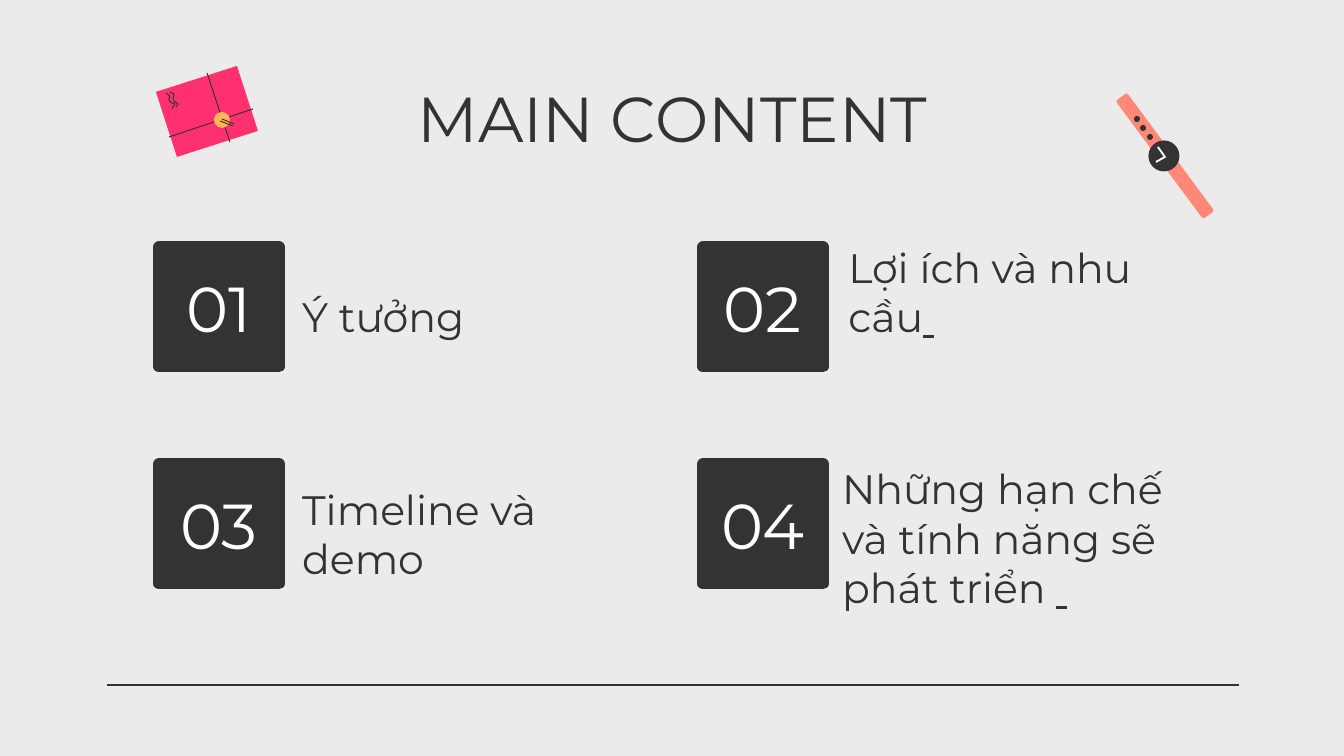
import pptx
import pptx.dml.color
import pptx.enum.shapes
import pptx.enum.text
import pptx.oxml
import pptx.oxml.ns
import pptx.util

PX = 914400 / 134.4
FONT = "Montserrat"
SHAPE = pptx.enum.shapes.MSO_SHAPE
ANCHOR = pptx.enum.text.MSO_ANCHOR
ALIGN = pptx.enum.text.PP_ALIGN
COLORS = {
    "background": "EBEBEB", "ink": "333333", "white": "FFFFFF",
    "pink": "FF3070", "seal": "FFB554", "strap": "FF8876",
}

# Content: number, topic, underlined ending, topic left and top
TITLE = "MAIN CONTENT"
TOPICS = [
    ("01", "Ý tưởng", "", 289, 300),
    ("02", "Lợi ích và nhu cầu", " ", 835, 300),
    ("03", "Timeline và demo", "", 289, 542),
    ("04", "Những hạn chế và tính năng sẽ phát triển ", " ", 829, 571),
]
TILE_LEFTS, TILE_TOPS, TILE_SIZE = (159, 703), (247, 464), 120
TOPIC_SIZE = (351, 54)

# Gift and watch drawings
PARCEL = [(237, 66), (258, 131), (177, 157), (156, 92)]
STRINGS = [(169, 137, 253, 109), (207, 73, 230, 142),
           (222, 119, 234, 124), (220, 121, 233, 126)]
SQUIGGLES = [
    [(170, 92), (174, 94), (173, 98), (174, 101), (178, 104), (176, 107)],
    [(166, 93), (170, 96), (169, 99), (170, 102), (175, 104), (172, 109)],
]
STRAP_HOLES = [(1137, 119), (1143, 128), (1150, 137)]
WATCH_HANDS = [(1158, 147), (1165, 157), (1156, 162)]


def px(value):
    return pptx.util.Emu(round(value * PX))


def rgb(name):
    return pptx.dml.color.RGBColor.from_string(COLORS[name])


def paint(shape, fill=None, line=None, width=0.75):
    shape.shadow.inherit = False
    if fill:
        shape.fill.solid()
        shape.fill.fore_color.rgb = rgb(fill)
    else:
        shape.fill.background()
    if line:
        shape.line.color.rgb = rgb(line)
        shape.line.width = pptx.util.Pt(width)
    else:
        shape.line.fill.background()


def add_block(shapes, kind, center_x, center_y, width, height, fill):
    shape = shapes.add_shape(kind, px(center_x - width / 2), px(center_y - height / 2),
                             px(width), px(height))
    paint(shape, fill)
    return shape


def add_outline(shapes, points, closed=False, **style):
    builder = shapes.build_freeform(*points[0], scale=PX)
    builder.add_line_segments(points[1:], close=closed)
    paint(builder.convert_to_shape(), **style)


def add_line(shapes, ends, width):
    line = shapes.add_connector(pptx.enum.shapes.MSO_CONNECTOR.STRAIGHT, *map(px, ends))
    line.line.color.rgb = rgb("ink")
    line.line.width = pptx.util.Pt(width)
    properties = line._element.spPr
    properties.append(pptx.oxml.parse_xml(
        "<a:effectLst %s/>" % pptx.oxml.ns.nsdecls("a")))


def set_text(shape, text, size, color, anchor, align):
    frame = shape.text_frame
    frame.word_wrap = True
    frame.auto_size = pptx.enum.text.MSO_AUTO_SIZE.NONE
    frame.vertical_anchor = anchor
    frame.margin_left = frame.margin_right = pptx.util.Inches(0.1)
    frame.margin_top = frame.margin_bottom = pptx.util.Inches(0.1)
    paragraph = frame.paragraphs[0]
    paragraph.text = text
    paragraph.alignment = align
    paragraph.font.size = pptx.util.Pt(size)
    style_runs(paragraph, size, color)
    return paragraph


def style_runs(paragraph, size, color):
    for run in paragraph.runs:
        run.font.name = FONT
        run.font.size = pptx.util.Pt(size)
        run.font.color.rgb = rgb(color)


def add_topics(shapes):
    for index, (number, topic, ending, left, top) in enumerate(TOPICS):
        row, column = divmod(index, 2)
        tile = shapes.add_shape(SHAPE.RECTANGLE, px(TILE_LEFTS[column]), px(TILE_TOPS[row]),
                                px(TILE_SIZE), px(TILE_SIZE))
        paint(tile, "ink", "ink", 6)
        tile.line._get_or_add_ln().append(pptx.oxml.parse_xml(
            "<a:round %s/>" % pptx.oxml.ns.nsdecls("a")))
        set_text(tile, number, 34, "white", ANCHOR.MIDDLE, ALIGN.CENTER)

        box = shapes.add_textbox(px(left), px(top), *map(px, TOPIC_SIZE))
        paragraph = set_text(box, topic, 22, "ink", ANCHOR.BOTTOM, ALIGN.LEFT)
        if ending:
            run = paragraph.add_run()
            run.text = ending
            run.font.underline = True
            style_runs(paragraph, 22, "ink")


def add_gift(shapes):
    add_outline(shapes, PARCEL, closed=True, fill="pink")
    for ends in STRINGS[:2]:
        add_line(shapes, ends, 0.5)
    add_block(shapes, SHAPE.OVAL, 222, 120, 16, 16, "seal")
    for ends in STRINGS[2:]:
        add_line(shapes, ends, 0.5)
    for points in SQUIGGLES:
        add_outline(shapes, points, line="ink", width=0.5)


def add_watch(shapes):
    strap = add_block(shapes, SHAPE.ROUNDED_RECTANGLE, 1165, 156, 147, 14, "strap")
    strap.rotation = 53.5
    add_block(shapes, SHAPE.OVAL, 1164, 156, 31, 31, "ink")
    add_outline(shapes, WATCH_HANDS, line="white", width=1)
    for center_x, center_y in STRAP_HOLES:
        add_block(shapes, SHAPE.OVAL, center_x, center_y, 6, 6, "ink")


def main():
    presentation = pptx.Presentation()
    presentation.slide_width, presentation.slide_height = px(1344), px(756)
    slide = presentation.slides.add_slide(presentation.slide_layouts[5])
    slide.background.fill.solid()
    slide.background.fill.fore_color.rgb = rgb("background")

    # Title
    title = slide.shapes.title
    title.left, title.top, title.width, title.height = map(px, (106, 66, 1133, 85))
    set_text(title, TITLE, 34, "ink", ANCHOR.TOP, ALIGN.CENTER)

    # Topics, footer line and drawings
    add_topics(slide.shapes)
    add_line(slide.shapes, (1239, 685, 107, 685), 0.75)
    add_gift(slide.shapes.add_group_shape().shapes)
    add_watch(slide.shapes.add_group_shape().shapes)

    presentation.save("out.pptx")


if __name__ == "__main__":
    main()
